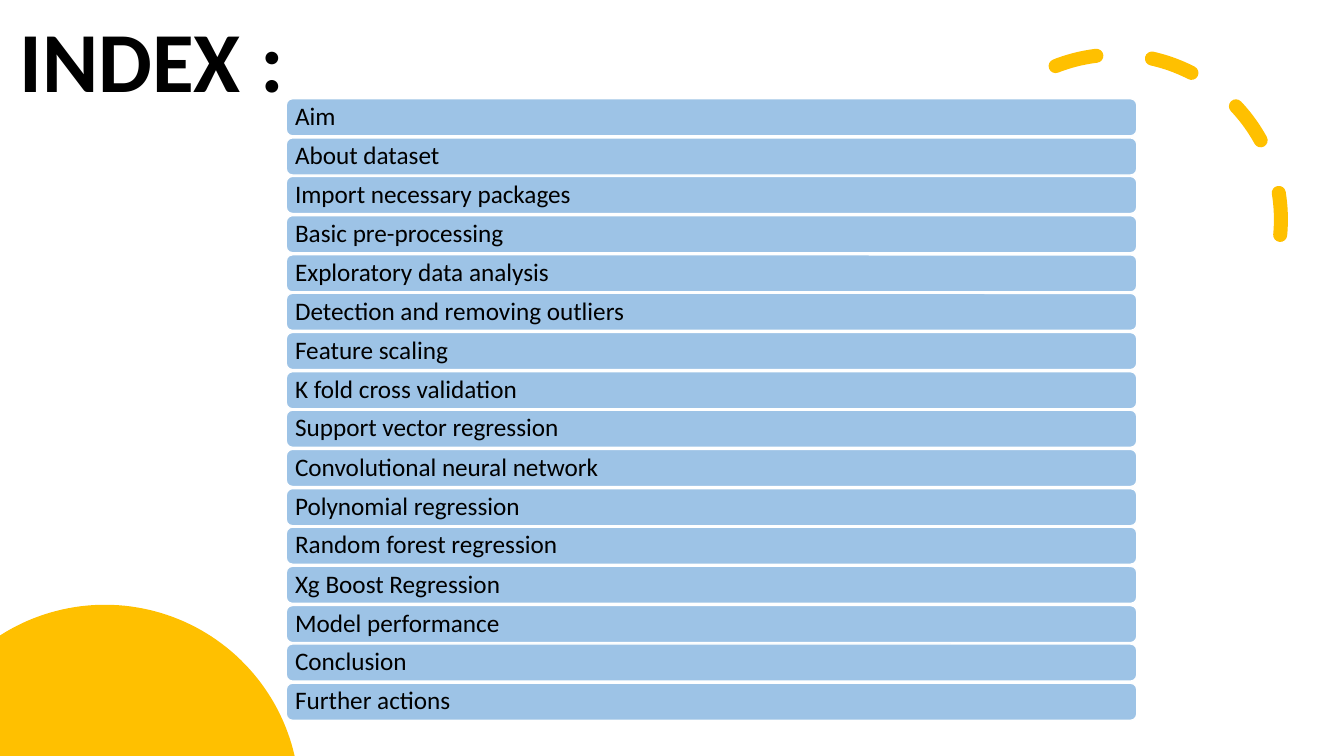
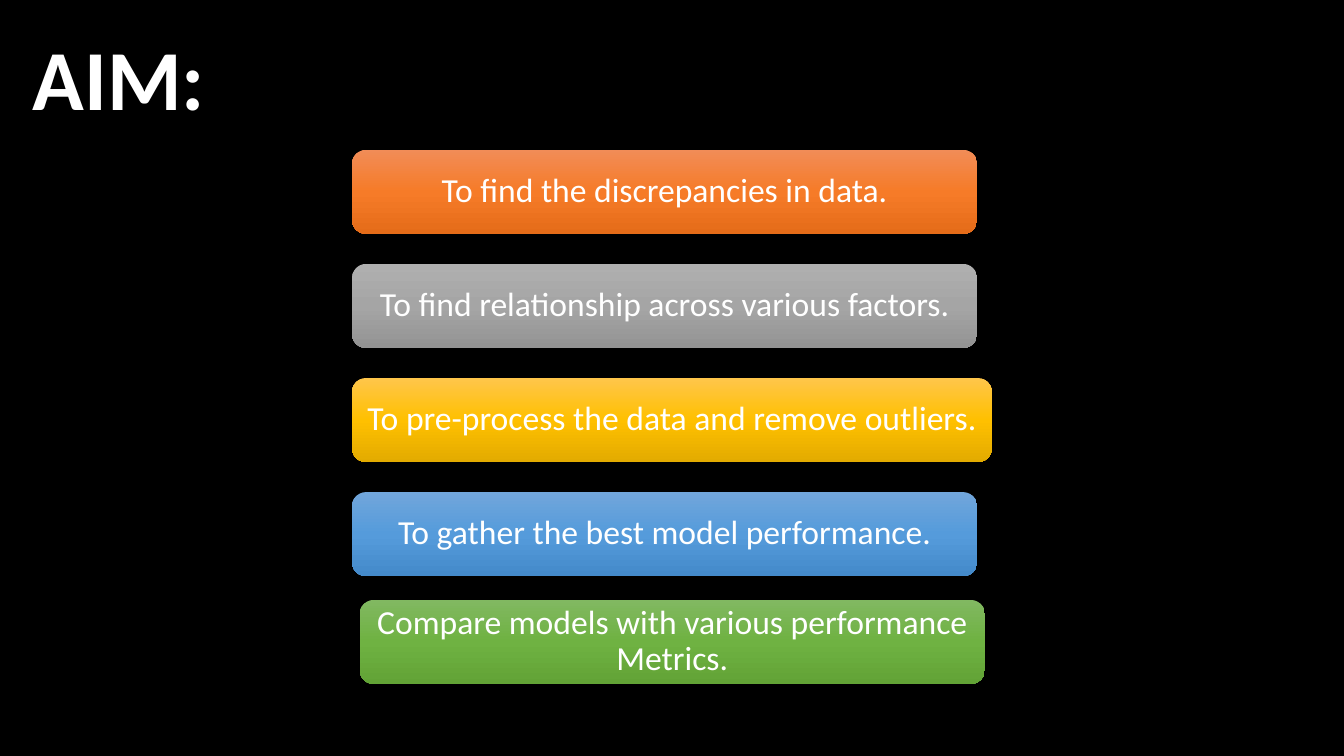
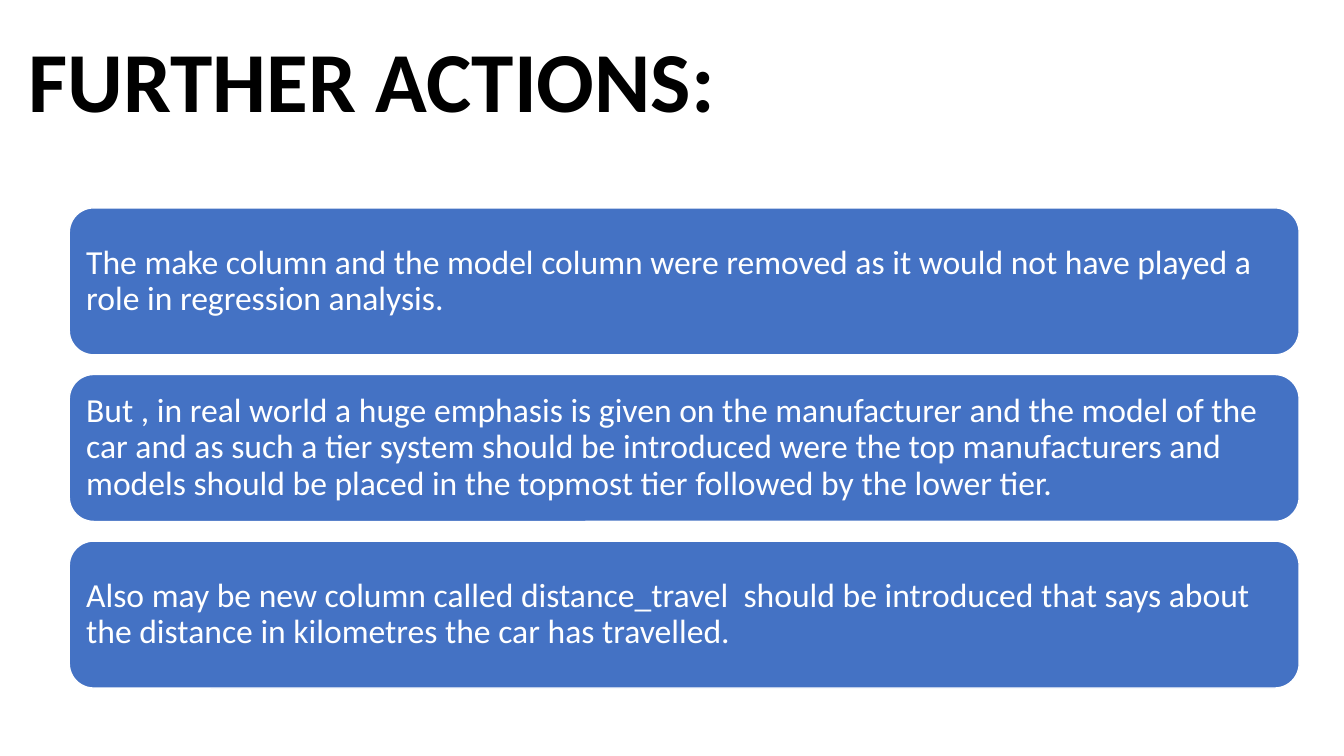
from copy import deepcopy
from dataclasses import dataclass
from math import acos, asin, cos, sin
from typing import Sequence

from pptx import Presentation
from pptx.dml.color import RGBColor
from pptx.enum.dml import MSO_LINE_DASH_STYLE as Dash
from pptx.enum.shapes import MSO_SHAPE as Shape
from pptx.enum.text import MSO_ANCHOR as Anchor, MSO_AUTO_SIZE as AutoSize, PP_ALIGN as Align
from pptx.oxml.ns import qn
from pptx.util import Emu, Pt

EMU_PER_PX = 6350
SLIDE_WIDTH, SLIDE_HEIGHT = 1920, 1080
FONT = "Calibri"
COLORS = {
    "black": "000000",
    "white": "FFFFFF",
    "gold": "FFC000",
    "sky": "9DC3E6",
    "blue": "4472C4",
}
INDEX_ITEMS = (
    "Aim",
    "About dataset",
    "Import necessary packages",
    "Basic pre-processing",
    "Exploratory data analysis",
    "Detection and removing outliers",
    "Feature scaling",
    "K fold cross validation",
    "Support vector regression",
    "Convolutional neural network",
    "Polynomial regression",
    "Random forest regression",
    "Xg Boost Regression",
    "Model performance",
    "Conclusion",
    "Further actions",
)
ACTIONS = (
    "The make column and the model column were removed as it would not have played a role "
    "in regression analysis.",
    "But , in real world a huge emphasis is given on the manufacturer and the model of the car "
    "and as such a tier system should be introduced were the top manufacturers and models "
    "should be placed in the topmost tier followed by the lower tier.",
    "Also may be new column called distance_travel  should be introduced that says about the "
    "distance in kilometres the car has travelled.",
)


@dataclass(frozen=True)
class Box:
    """Place and size in px."""
    left: int
    top: int
    width: int
    height: int


@dataclass(frozen=True)
class Aim:
    """One aim with its gradient, top to bottom."""
    text: str
    gradient: tuple[str, str, str]
    box: Box


AIM_LEFT, AIM_TOP, AIM_STEP, AIM_WIDTH, AIM_HEIGHT = 503, 214, 163, 893, 120
AIMS = (
    Aim("To find the discrepancies in data.", ("F18C57", "F67B28", "E56C19"),
        Box(AIM_LEFT, AIM_TOP, AIM_WIDTH, AIM_HEIGHT)),
    Aim("To find relationship across various factors.", ("AFAFAF", "A5A5A5", "939393"),
        Box(AIM_LEFT, AIM_TOP + AIM_STEP, AIM_WIDTH, AIM_HEIGHT)),
    Aim("To pre-process the data and remove outliers.", ("FFC64B", "FFC000", "E3AB00"),
        Box(AIM_LEFT, AIM_TOP + 2 * AIM_STEP, 914, AIM_HEIGHT)),
    Aim("To gather the best model performance.", ("71A6DB", "559BDB", "448ACA"),
        Box(AIM_LEFT, AIM_TOP + 3 * AIM_STEP, AIM_WIDTH, AIM_HEIGHT)),
    Aim("Compare models with various performance Metrics.", ("81B861", "6FB242", "62A336"),
        Box(514, 857, AIM_WIDTH, AIM_HEIGHT)),
)


def px(length: float) -> Emu:
    """Turn px into EMU."""
    return Emu(round(length * EMU_PER_PX))


def rgb(name: str) -> RGBColor:
    """Look up a named colour, or read a hex string."""
    return RGBColor.from_string(COLORS.get(name, name))


def place(shape, box: Box) -> None:
    """Move and size a shape."""
    shape.left, shape.top = px(box.left), px(box.top)
    shape.width, shape.height = px(box.width), px(box.height)


def write(shape, *texts: str, sizes: Sequence[int], color: str, bold: bool = False,
          align: Align = Align.LEFT, insets: tuple[int, int] = (14, 7)) -> None:
    """Write one paragraph with a run for each text and size."""
    frame = shape.text_frame
    frame.word_wrap = True
    frame.auto_size = AutoSize.NONE
    frame.vertical_anchor = Anchor.MIDDLE
    frame.margin_left = frame.margin_right = px(insets[0])
    frame.margin_top = frame.margin_bottom = px(insets[1])
    paragraph = frame.paragraphs[0]
    paragraph.alignment = align
    paragraph.line_spacing = 0.9
    for text, size in zip(texts, sizes):
        run = paragraph.add_run()
        run.text = text
        run.font.name = FONT
        run.font.size = Pt(size)
        run.font.bold = bold
        run.font.color.rgb = rgb(color)


def add_slide(presentation, box: Box, *title: str, sizes: Sequence[int] = (61,),
              background: str = "white", color: str = "black"):
    """Add a slide with its background and title."""
    slide = presentation.slides.add_slide(presentation.slide_layouts[5])
    slide.background.fill.solid()
    slide.background.fill.fore_color.rgb = rgb(background)
    place(slide.shapes.title, box)
    write(slide.shapes.title, *title, sizes=sizes, color=color, bold=True)
    return slide


def add_preset(slide, kind: Shape, box: Box):
    """Add a preset shape without shadow."""
    shape = slide.shapes.add_shape(
        kind, px(box.left), px(box.top), px(box.width), px(box.height))
    shape.shadow.inherit = False
    return shape


def add_stack(slide, texts: Sequence[str], first: Box, last_top: int, *, fill: str,
              color: str, size: int, inset: int) -> None:
    """Stack outlined boxes evenly from the first to the last top."""
    for index, text in enumerate(texts):
        top = first.top + round(index * (last_top - first.top) / (len(texts) - 1))
        shape = add_preset(slide, Shape.ROUNDED_RECTANGLE,
                           Box(first.left, top, first.width, first.height))
        shape.fill.solid()
        shape.fill.fore_color.rgb = rgb(fill)
        shape.line.color.rgb = rgb("white")
        shape.line.width = Pt(1)
        write(shape, text, sizes=(size,), color=color, insets=(inset, inset))


def add_aim(slide, aim: Aim) -> None:
    """Add a gradient box with its aim."""
    shape = add_preset(slide, Shape.ROUNDED_RECTANGLE, aim.box)
    shape.line.fill.background()
    shape.fill.gradient()
    shape.fill.gradient_angle = 270
    stop_list = shape._element.spPr.find(qn("a:gradFill")).find(qn("a:gsLst"))
    stop_list.append(deepcopy(stop_list[-1]))
    for index, (stop, color) in enumerate(zip(shape.fill.gradient_stops, aim.gradient)):
        stop.position = index / 2
        stop.color.rgb = rgb(color)
    write(shape, aim.text, sizes=(24,), color="white", align=Align.CENTER)


def add_dashed_arc(slide) -> None:
    """Draw the dashed arc at the upper right."""
    arc = add_preset(slide, Shape.ARC, Box(1359, 78, 471, 471))
    arc.adjustments[0] = 144.42
    arc.rotation = 66.1
    arc._element.spPr.find(qn("a:xfrm")).set("flipH", "1")
    arc.fill.background()
    arc.line.color.rgb = rgb("gold")
    arc.line.width = Pt(10)
    arc.line.dash_style = Dash.DASH
    arc._element.spPr.find(qn("a:ln")).set("cap", "rnd")


def add_corner_disc(slide) -> None:
    """Draw the part of a disc that shows at the lower left."""
    center_x, center_y, radius, steps = 150, 1142, 278, 60
    start = acos(-center_x / radius)
    end = asin((center_y - SLIDE_HEIGHT) / radius)
    angles = [start + (end - start) * step / steps for step in range(steps + 1)]
    points = [(px(center_x + radius * cos(angle)), px(center_y - radius * sin(angle)))
              for angle in angles]
    builder = slide.shapes.build_freeform(0, px(SLIDE_HEIGHT))
    builder.add_line_segments(points, close=True)
    disc = builder.convert_to_shape()
    disc.shadow.inherit = False
    disc.fill.solid()
    disc.fill.fore_color.rgb = rgb("gold")
    disc.line.fill.background()


def main() -> None:
    """Build and save the slides."""
    presentation = Presentation()
    presentation.slide_width = px(SLIDE_WIDTH)
    presentation.slide_height = px(SLIDE_HEIGHT)

    index_slide = add_slide(presentation, Box(14, 22, 860, 140), "INDEX :")
    add_dashed_arc(index_slide)
    add_corner_disc(index_slide)
    add_stack(index_slide, INDEX_ITEMS, Box(409, 141, 1215, 53), 976,
              fill="sky", color="black", size=18, inset=10)

    aim_slide = add_slide(presentation, Box(33, 14, 1407, 209), "AIM", ":", sizes=(61, 60),
                          background="black", color="white")
    for aim in AIMS:
        add_aim(aim_slide, aim)

    action_slide = add_slide(presentation, Box(27, 17, 1656, 209), "FURTHER ACTIONS:")
    add_stack(action_slide, ACTIONS, Box(99, 297, 1757, 210), 773,
              fill="blue", color="white", size=24, inset=14)

    presentation.save("out.pptx")


if __name__ == "__main__":
    main()
